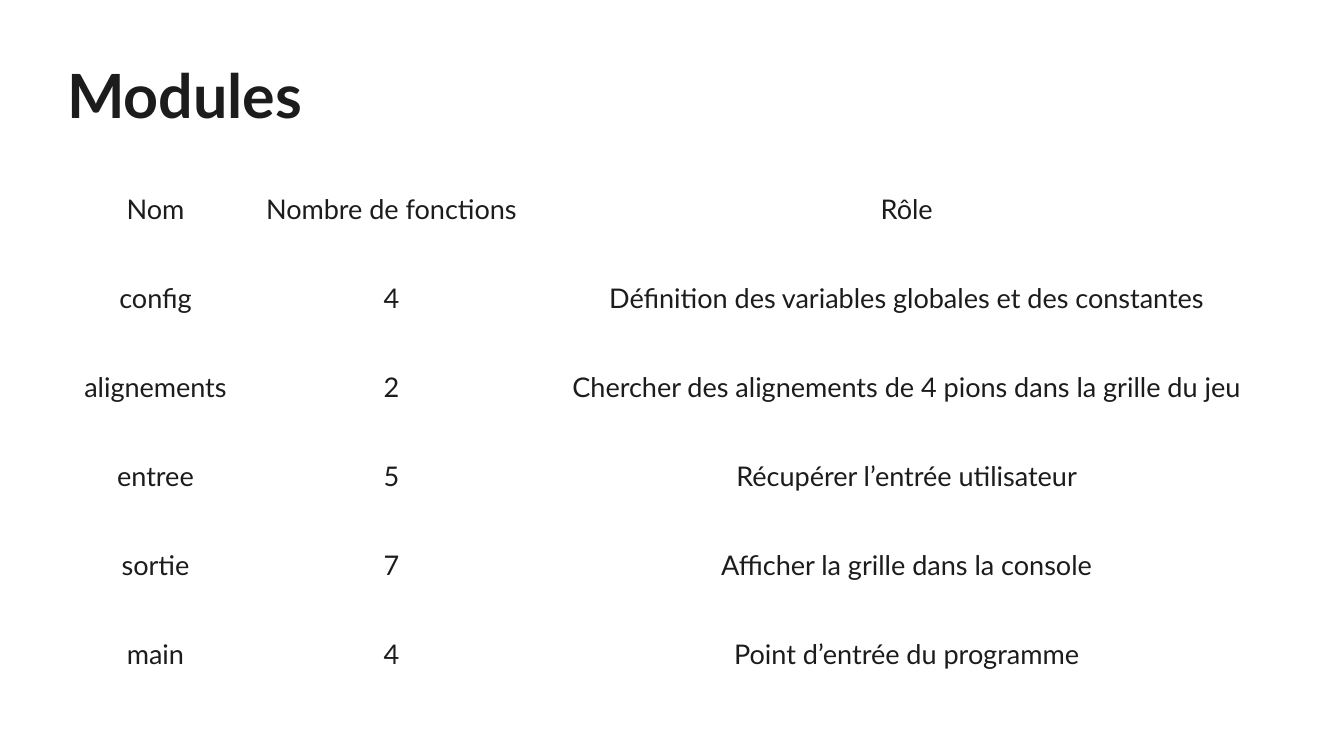
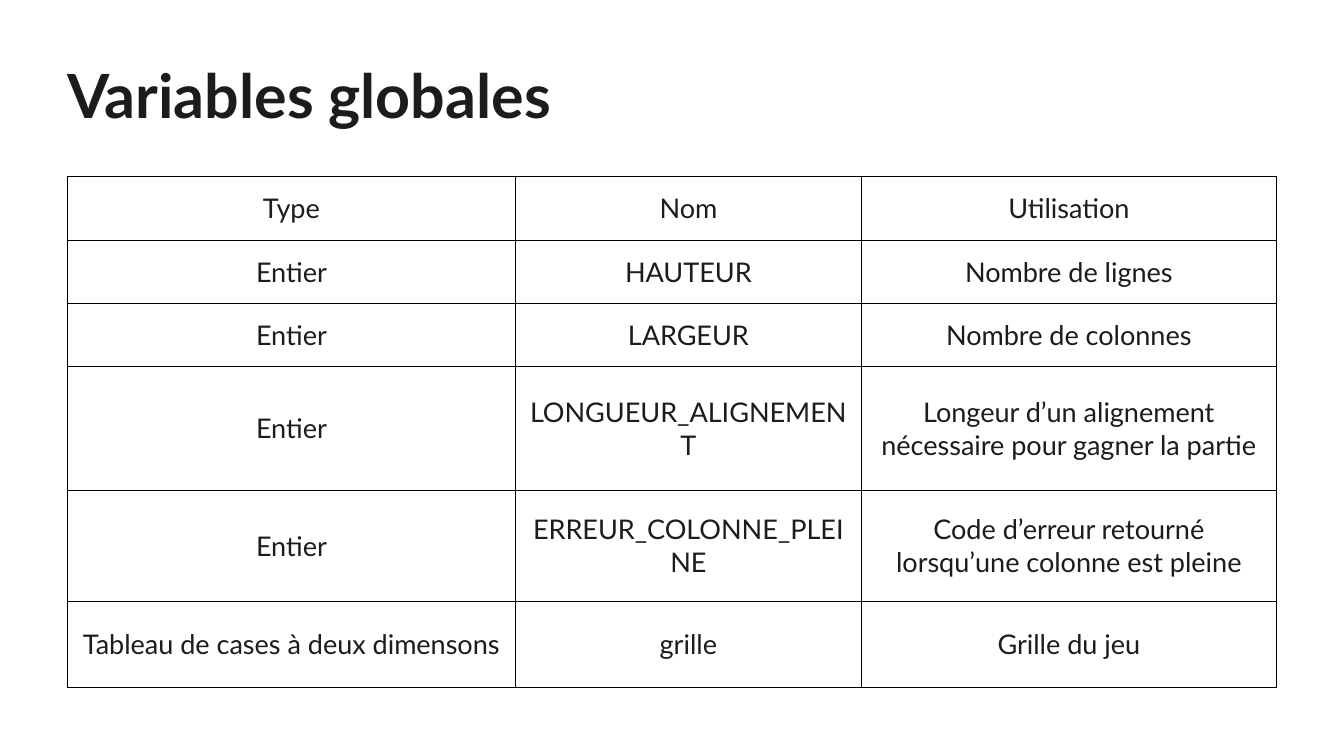
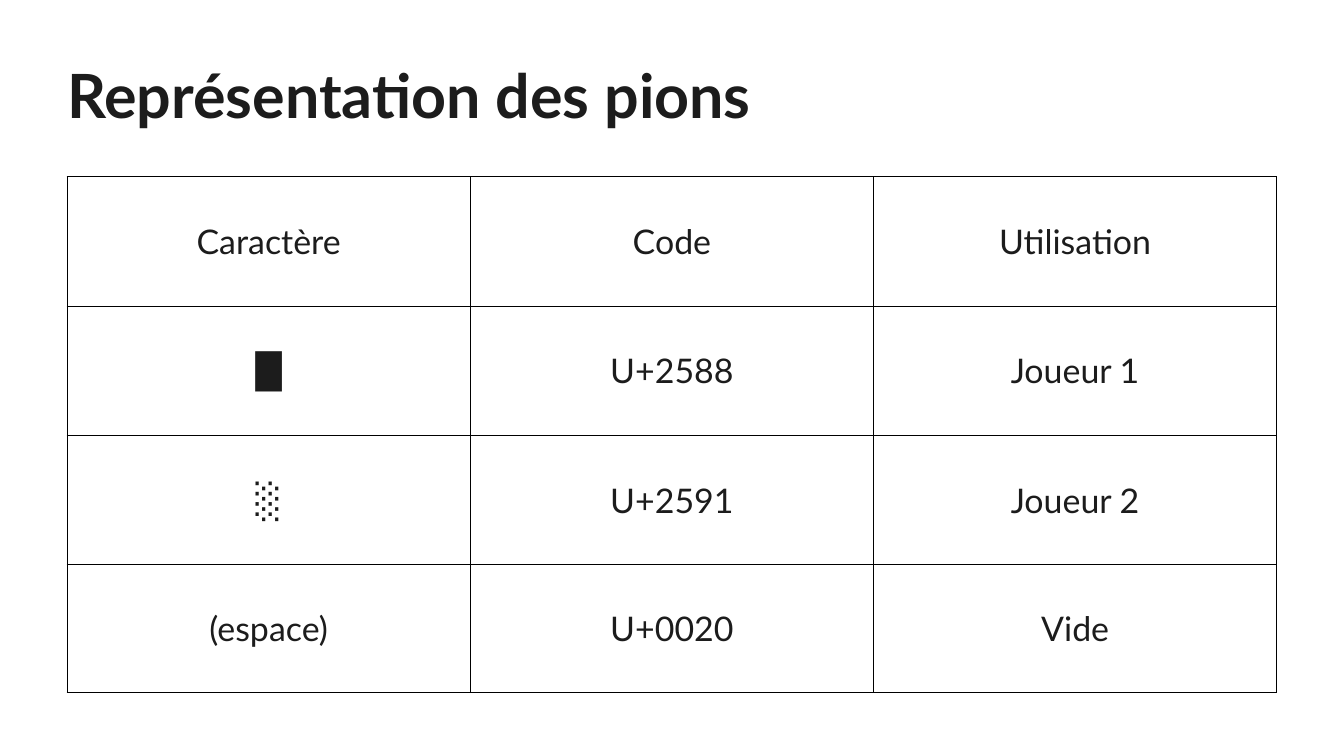
import dataclasses

import lxml.etree
import pptx
import pptx.dml.color
import pptx.enum.text
import pptx.oxml.ns
import pptx.presentation
import pptx.slide
import pptx.table
import pptx.text.text
import pptx.util

Inches = pptx.util.Inches
Color = pptx.dml.color.RGBColor
Align = pptx.enum.text.PP_ALIGN
Anchor = pptx.enum.text.MSO_ANCHOR

INK = Color(0x1C, 0x1C, 0x1C)
BLACK = Color(0, 0, 0)
WHITE = Color(0xFF, 0xFF, 0xFF)
FONT = "Lato"
LEFT = 0.55
WIDTH = 9.92


@dataclasses.dataclass(frozen=True)
class Border:
    color: Color
    width: float


@dataclasses.dataclass(frozen=True)
class Page:
    title: str
    left: float
    top: float
    cols: list[float]
    heights: list[float]
    size: int
    border: Border
    rows: list[tuple[str, str, str]]


THIN = Border(BLACK, 0.57)
FAINT = Border(WHITE, 0.06)

PAGES = [
    Page("Modules", 0.54, 1.35, [1.47, 2.4, 6.05], [0.73] * 6, 16, FAINT, [
        ("Nom", "Nombre de fonctions", "Rôle"),
        ("config", "4", "Définition des variables globales et des constantes"),
        ("alignements", "2",
         "Chercher des alignements de 4 pions dans la grille du jeu"),
        ("entree", "5", "Récupérer l’entrée utilisateur"),
        ("sortie", "7", "Afficher la grille dans la console"),
        ("main", "4", "Point d’entrée du programme"),
    ]),
    Page("Variables globales", LEFT, 1.45, [3.68, 2.83, 3.41],
         [0.52, 0.52, 0.52, 1.01, 0.91, 0.71], 16, THIN, [
        ("Type", "Nom", "Utilisation"),
        ("Entier", "HAUTEUR", "Nombre de lignes"),
        ("Entier", "LARGEUR", "Nombre de colonnes"),
        ("Entier", "LONGUEUR_ALIGNEMENT",
         "Longeur d’un alignement nécessaire pour gagner la partie"),
        ("Entier", "ERREUR_COLONNE_PLEINE",
         "Code d’erreur retourné lorsqu’une colonne est pleine"),
        ("Tableau de cases à deux dimensons", "grille", "Grille du jeu"),
    ]),
    Page("Représentation des pions", LEFT, 1.45, [WIDTH / 3] * 3,
         [1.06, 1.06, 1.06, 1.05], 20, THIN, [
        ("Caractère", "Code", "Utilisation"),
        ("█", "U+2588", "Joueur 1"),
        ("░", "U+2591", "Joueur 2"),
        ("(espace)", "U+0020", "Vide"),
    ]),
]


def write(frame: pptx.text.text.TextFrame, text: str, size: int,
          align: Align, bold: bool = False) -> None:
    frame.text = text
    para = frame.paragraphs[0]
    para.alignment = align
    font = para.runs[0].font
    font.name = FONT
    font.size = pptx.util.Pt(size)
    font.bold = bold
    font.color.rgb = INK


def add_title(slide: pptx.slide.Slide, text: str) -> None:
    box = slide.shapes.add_textbox(
        Inches(LEFT), Inches(0.25), Inches(WIDTH), Inches(1.04))
    frame = box.text_frame
    frame.word_wrap = True
    frame.vertical_anchor = Anchor.MIDDLE
    frame.margin_left = frame.margin_right = 0
    frame.margin_top = frame.margin_bottom = 0
    write(frame, text, 36, Align.LEFT, bold=True)


def set_border(cell: pptx.table._Cell, border: Border) -> None:
    """Line all four sides; must run before the cell's fill is set."""
    qn = pptx.oxml.ns.qn
    props = cell._tc.get_or_add_tcPr()
    for side in ("a:lnL", "a:lnR", "a:lnT", "a:lnB"):
        line = lxml.etree.SubElement(
            props, qn(side), w=str(int(pptx.util.Pt(border.width))))
        fill = lxml.etree.SubElement(line, qn("a:solidFill"))
        lxml.etree.SubElement(fill, qn("a:srgbClr"), val=str(border.color))


def add_grid(slide: pptx.slide.Slide, page: Page) -> None:
    table = slide.shapes.add_table(
        len(page.rows), len(page.cols), Inches(page.left), Inches(page.top),
        Inches(sum(page.cols)), Inches(sum(page.heights))).table
    table.first_row = False
    table.horz_banding = False
    for col, width in zip(table.columns, page.cols):
        col.width = Inches(width)
    for row, height, texts in zip(table.rows, page.heights, page.rows):
        row.height = Inches(height)
        for cell, text in zip(row.cells, texts):
            set_border(cell, page.border)
            cell.fill.background()
            cell.vertical_anchor = Anchor.MIDDLE
            write(cell.text_frame, text, page.size, Align.CENTER)


def add_page(deck: pptx.presentation.Presentation, page: Page) -> None:
    slide = deck.slides.add_slide(deck.slide_layouts[6])
    add_title(slide, page.title)
    add_grid(slide, page)


def main() -> None:
    deck = pptx.Presentation()
    deck.slide_width = Inches(11.02)
    deck.slide_height = Inches(6.2)
    for page in PAGES:
        add_page(deck, page)
    deck.save("out.pptx")


if __name__ == "__main__":
    main()
